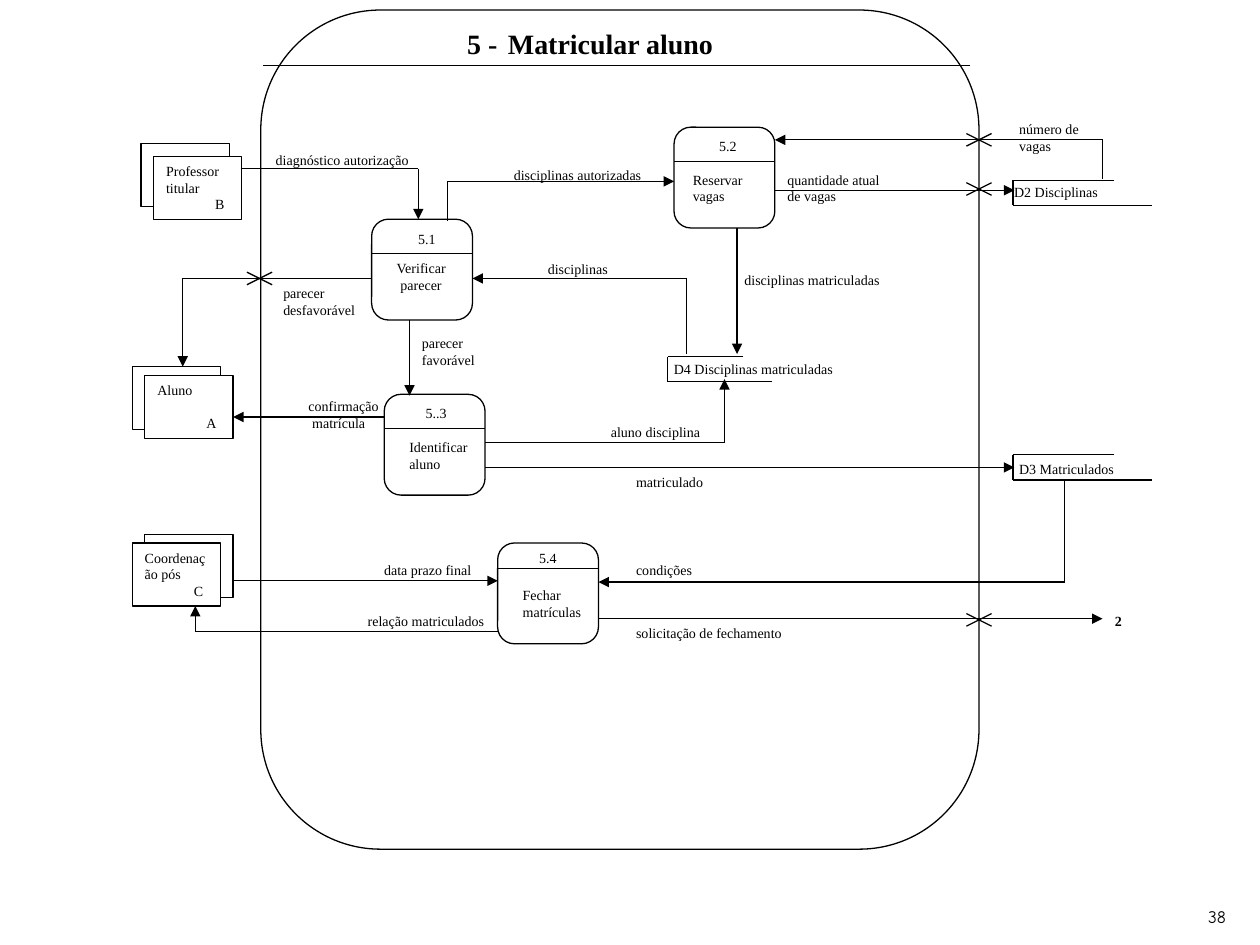
from dataclasses import dataclass
from itertools import pairwise

from lxml import etree
from pptx import Presentation
from pptx import util as u
from pptx.dml.color import RGBColor
from pptx.enum import shapes, text
from pptx.oxml.ns import qn

COLORS = {"ink": "000000", "paper": "FFFFFF"}
CELL = 0.1  # inches; the slide is a grid of 100 columns by 75 rows
FONT = "Times New Roman"
LETTER_INDENT = 3.9
PROCESS_SIDE = 8
ENTITY_SIZE = (7, 5)


@dataclass
class Line:
    """One paragraph; indent in columns, before in points."""
    words: str
    indent: float = 0
    before: float = 0


@dataclass
class Process:
    number: str
    lines: list
    at: tuple
    number_offset: tuple
    label_offset: tuple
    divider: float = 2.7


@dataclass
class Entity:
    """External entity; back is the offset of the rectangle behind it."""
    lines: list
    at: tuple
    back: tuple


@dataclass
class Store:
    name: str
    at: tuple
    name_offset: tuple
    top: float
    bottom: float


@dataclass
class Label:
    lines: list
    at: tuple
    width: float
    bold: bool = False


PROCESSES = [
    Process("5.1", [Line("Verificar"), Line("parecer", 0.3)], (29.5, 17.4), (2.7, 0.4), (1, 2.7)),
    Process("5.2", [Line("Reservar"), Line("vagas")], (53.5, 10.1), (2.6, 0.3), (0.5, 3)),
    Process("5..3", [Line("Identificar aluno")], (30.5, 31.3), (2.3, 0.3), (1, 3)),
    Process("5.4", [Line("Fechar matrículas")], (39.5, 43.1), (2.3, 0), (1, 3), 2),
]
ENTITIES = [
    Entity([Line("Professor titular"), Line("B", LETTER_INDENT)], (12.2, 12.4), (-1, -1)),
    Entity([Line("Aluno"), Line("A", LETTER_INDENT, 9.2)], (11.5, 29.8), (-1, -0.7)),
    Entity([Line("Coordenação pós"), Line("C", LETTER_INDENT)], (10.5, 43.1), (1, -0.7)),
]
STORES = [
    Store("D2 Disciplinas", (80.4, 14.3), (-0.9, -0.2), 8, 11),
    Store("D3 Matriculados", (80.4, 36.1), (-0.5, 0), 8, 11),
    Store("D4 Disciplinas matriculadas", (53, 28.3), (-0.5, -0.2), 6, 8.3),
]
FLOWS = [
    [(19.1, 13.4), (33.2, 13.4), (33.2, 17.4)],
    [(29.5, 22.1), (14.5, 22.1), (14.5, 29.1)],
    [(35.5, 17.5), (35.5, 14.4), (53.5, 14.4)],
    [(61.5, 15.1), (80.5, 15.1)],
    [(87.5, 14.2), (87.5, 11.1), (61.5, 11.1)],
    [(58.5, 18.1), (58.5, 28.1)],
    [(54.5, 28.1), (54.5, 22.1), (37.5, 22.1)],
    [(30.5, 33.1), (18.5, 33.1)],
    [(32.5, 25.4), (32.5, 31.4)],
    [(38.5, 35.1), (57.5, 35.1), (57.5, 30.1)],
    [(38.5, 37.1), (80.5, 37.1)],
    [(84.5, 38.2), (84.5, 46.2), (47.5, 46.2)],
    [(39.5, 50.1), (15.5, 50.1), (15.5, 48.1)],
    [(18.5, 46.1), (39.5, 46.1)],
    [(47.5, 49.1), (87.5, 49.1)],
]
BOUNDARY_CROSSINGS = [(77.7, 11.1), (77.7, 15), (20.6, 22.1), (77.7, 49.2)]
LABELS = [
    Label([Line("diagnóstico autorização")], (20.9, 11.5), 13),
    Label([Line("confirmação"), Line("matrícula", 0.3)], (23.5, 31.1), 9),
    Label([Line("relação matriculados")], (28.2, 48.1), 12.3),
    Label([Line("disciplinas")], (42.5, 20.2), 8.4),
    Label([Line("número de vagas")], (79.9, 9.1), 7),
    Label([Line("parecer"), Line("desfavorável")], (21.5, 22.1), 8),
    Label([Line("disciplinas autorizadas")], (39.8, 12.7), 13),
    Label([Line("aluno disciplina")], (47.5, 33.1), 11),
    Label([Line("condições")], (49.5, 44.1), 11),
    Label([Line("quantidade atual de vagas")], (61.5, 13.1), 9.8),
    Label([Line("parecer"), Line("favorável")], (32.5, 26.1), 8),
    Label([Line("matriculado")], (49.5, 37.1), 8.4),
    Label([Line("data prazo final")], (29.5, 44.1), 10),
    Label([Line("solicitação de fechamento")], (49.5, 49.1), 14),
    Label([Line("2")], (87.5, 48.1), 3, True),
    Label([Line("disciplinas matriculadas")], (58.1, 21.1), 14),
]


def grid(*cells: float) -> list:
    return [u.Inches(cell * CELL) for cell in cells]


def shift(at: tuple, offset: tuple) -> tuple:
    return at[0] + offset[0], at[1] + offset[1]


def color(name: str) -> RGBColor:
    return RGBColor.from_string(COLORS[name])


def add_run(paragraph, words: str, size: float = 8, bold: bool = False, font: str = FONT):
    run = paragraph.add_run()
    run.text = words
    run.font.size, run.font.bold, run.font.name = u.Pt(size), bold, font
    run.font.color.rgb = color("ink")


def write(frame, lines: list, **style):
    frame.word_wrap = True
    frame.vertical_anchor = text.MSO_ANCHOR.TOP
    for i, line in enumerate(lines):
        paragraph = frame.add_paragraph() if i else frame.paragraphs[0]
        paragraph.alignment = text.PP_ALIGN.LEFT
        paragraph.space_before = u.Pt(line.before)
        if line.indent:
            paragraph._p.get_or_add_pPr().set("marL", str(grid(line.indent)[0]))
        add_run(paragraph, line.words, **style)


def add_label(slide, lines: list, at: tuple, width: float, height: float = 3, **style):
    write(slide.shapes.add_textbox(*grid(*at, width, height)).text_frame, lines, **style)


def add_outline(slide, kind, at: tuple, size: tuple, filled: bool = True):
    shape = slide.shapes.add_shape(kind, *grid(*at, *size))
    shape.shadow.inherit = False
    if filled:
        shape.fill.solid()
        shape.fill.fore_color.rgb = color("paper")
    else:
        shape.fill.background()
    shape.line.color.rgb, shape.line.width = color("ink"), u.Pt(0.75)
    return shape


def add_path(slide, points: list, arrow: bool = False):
    """Joins the points with straight connectors, with a head at the last point."""
    for start, end in pairwise(points):
        connector = slide.shapes.add_connector(shapes.MSO_CONNECTOR.STRAIGHT, *grid(*start, *end))
        connector.line.color.rgb, connector.line.width = color("ink"), u.Pt(0.75)
        etree.SubElement(connector._element.spPr, qn("a:effectLst"))
    if arrow:
        etree.SubElement(connector.line._get_or_add_ln(), qn("a:tailEnd"), type="triangle")


def draw_process(slide, process: Process):
    add_outline(slide, shapes.MSO_SHAPE.FLOWCHART_ALTERNATE_PROCESS, process.at,
                (PROCESS_SIDE, PROCESS_SIDE))
    divider = shift(process.at, (0, process.divider))
    add_path(slide, [divider, shift(divider, (PROCESS_SIDE, 0))])
    add_label(slide, [Line(process.number)], shift(process.at, process.number_offset), 4.6, 2.3)
    add_label(slide, process.lines, shift(process.at, process.label_offset), 7, 4)


def draw_entity(slide, entity: Entity):
    add_outline(slide, shapes.MSO_SHAPE.RECTANGLE, shift(entity.at, entity.back), ENTITY_SIZE)
    front = add_outline(slide, shapes.MSO_SHAPE.RECTANGLE, entity.at, ENTITY_SIZE)
    write(front.text_frame, entity.lines)


def draw_store(slide, store: Store):
    corner = shift(store.at, (0, 2))
    add_path(slide, [shift(store.at, (store.top, 0)), store.at, corner,
                     shift(corner, (store.bottom, 0))])
    add_label(slide, [Line(store.name)], shift(store.at, store.name_offset), 15.3)


def draw_crossing(slide, center: tuple):
    for rise in (0.5, -0.5):
        add_path(slide, [shift(center, (-1, -rise)), shift(center, (1, rise))])


def draw_title(slide):
    add_path(slide, [(20.9, 5.2), (77, 5.2)])
    frame = slide.shapes.add_textbox(*grid(36.1, 0.5, 37, 3.3)).text_frame
    frame.word_wrap = True
    for words, size in (("5 -", 16), (" ", 24), ("Matricular aluno", 16)):
        add_run(frame.paragraphs[0], words, size, bold=True)


def main():
    deck = Presentation()
    deck.slide_width, deck.slide_height = grid(100, 75)
    slide = deck.slides.add_slide(deck.slide_layouts[6])
    add_outline(slide, shapes.MSO_SHAPE.FLOWCHART_ALTERNATE_PROCESS, (20.7, 0.8), (57, 66.6), False)
    draw_title(slide)
    for draw, parts in ((draw_process, PROCESSES), (draw_entity, ENTITIES),
                        (draw_store, STORES), (draw_crossing, BOUNDARY_CROSSINGS)):
        for part in parts:
            draw(slide, part)
    for flow in FLOWS:
        add_path(slide, flow, arrow=True)
    for label in LABELS:
        add_label(slide, label.lines, label.at, label.width, bold=label.bold)
    add_label(slide, [Line("38", before=6.2)], (94.9, 71.4), 3.9, 2.7, size=10, font="Comic Neue")
    deck.save("out.pptx")


if __name__ == "__main__":
    main()
